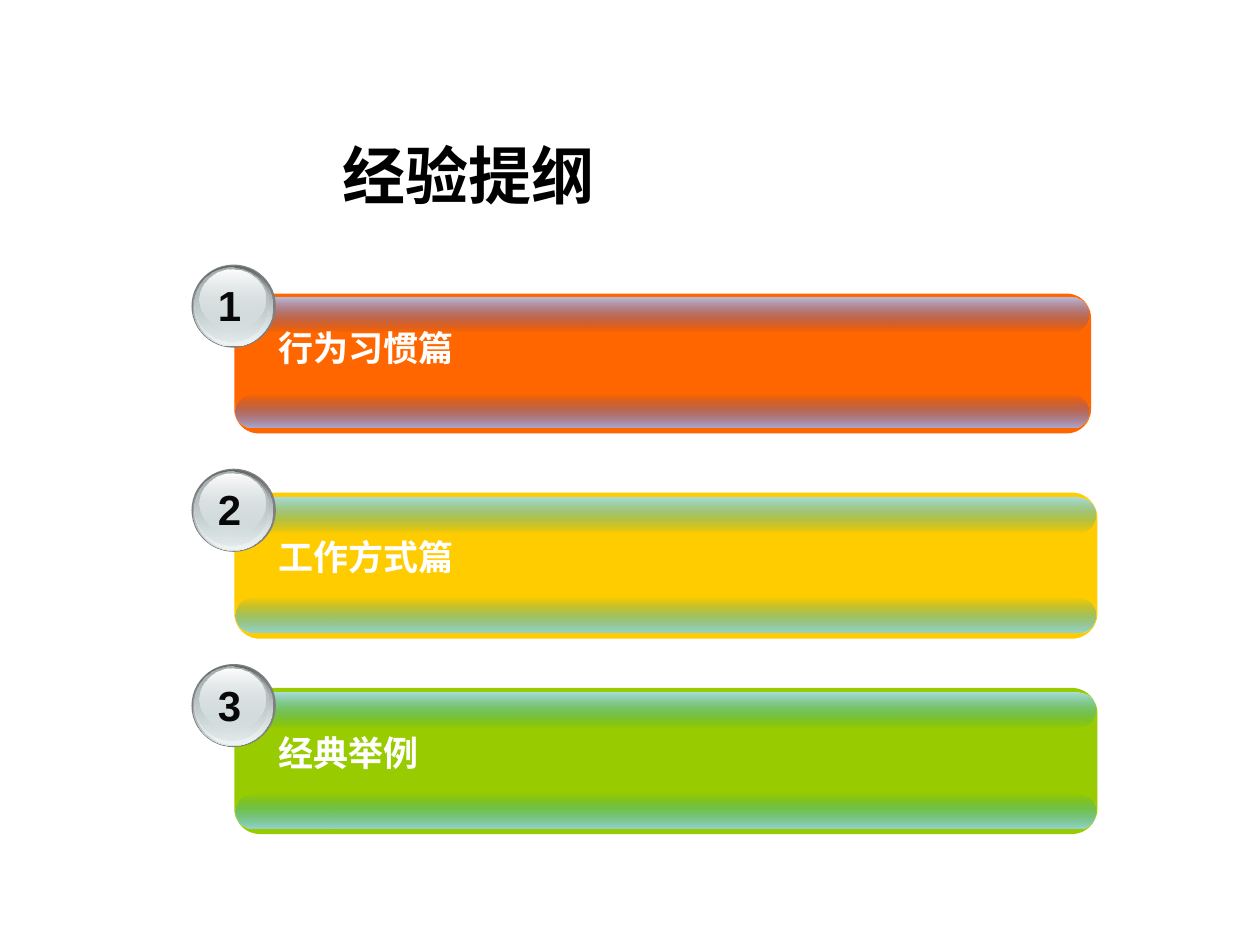
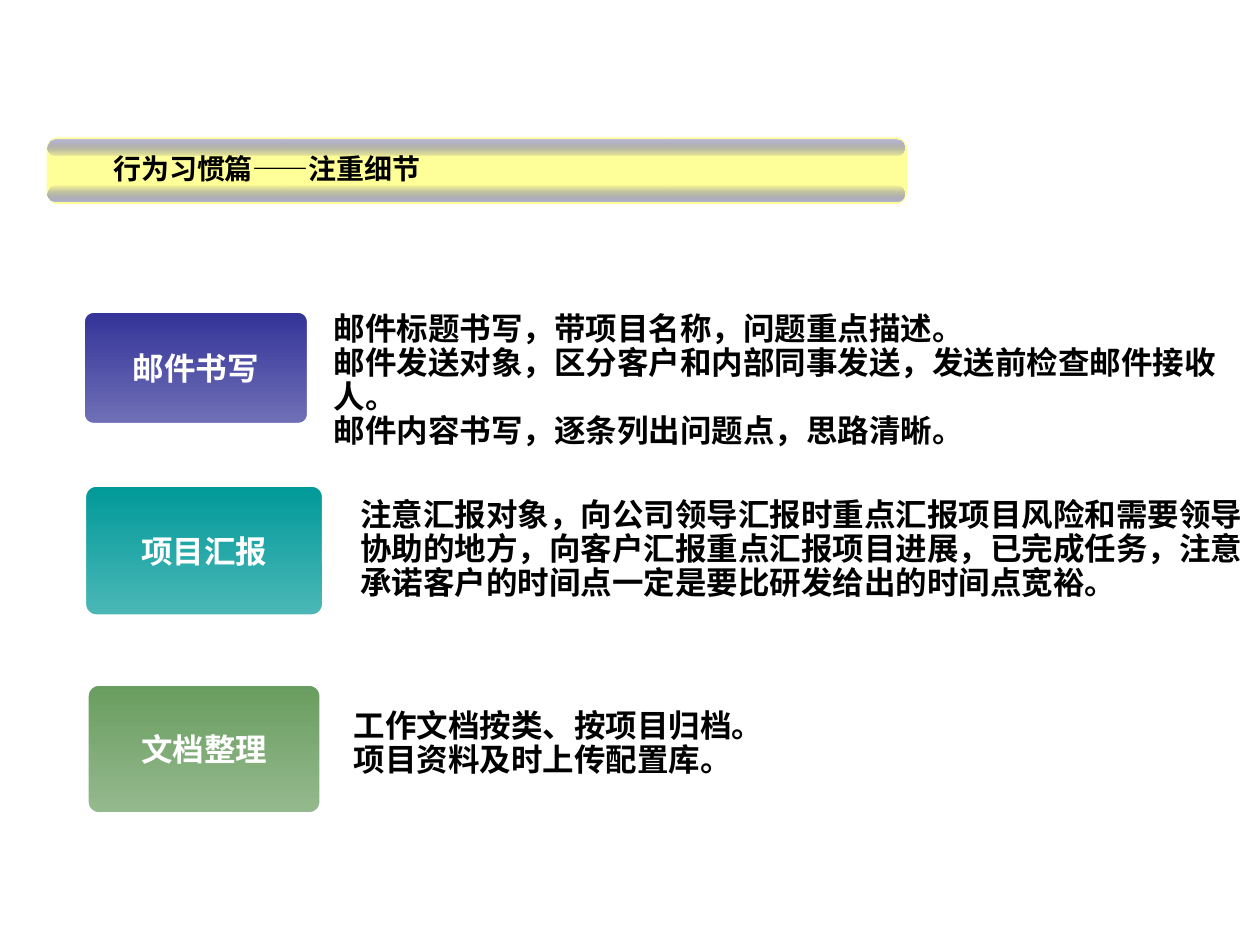
from pptx import Presentation
from pptx.dml.color import RGBColor
from pptx.enum.shapes import MSO_SHAPE
from pptx.enum.text import MSO_ANCHOR, MSO_AUTO_SIZE, PP_ALIGN
from pptx.oxml.ns import qn
from pptx.util import Inches, Pt
from lxml import etree

ROUND, OVAL = MSO_SHAPE.ROUNDED_RECTANGLE, MSO_SHAPE.OVAL
TOP, MIDDLE = MSO_ANCHOR.TOP, MSO_ANCHOR.MIDDLE
LEFT, CENTER = PP_ALIGN.LEFT, PP_ALIGN.CENTER
FIXED = MSO_AUTO_SIZE.NONE
FONT = "Arial"

COLORS = {
    "black": "000000", "ink": "080808", "white": "FFFFFF",
    "orange": "FF6600", "gold": "FFCC00", "lime": "99CC00", "cream": "FFFF99",
    "navy": "333399", "violet": "7070B7", "lilac": "BABADC", "mauve": "AAAAD4",
    "teal": "009999", "aqua": "4CB7B7", "mint": "A9DCDC", "sea": "95D4D4",
    "green": "699D5F", "sage": "95B98E",
    "rim": "808080", "steel": "626768", "ash": "A8B1B2",
    "mist": "D6E1E2", "pale": "EFF3F3", "snow": "FEFEFE",
}
# Gloss of a bar: top edge, middle, bottom edge
BLUE = ("lilac", "navy", "mauve")
CYAN = ("mint", "teal", "sea")

# Badge layers: offset and size in the badge, then (colour, opacity) stops
LAYERS = [
    ((0, 0, 0.67, 0.66), [("rim", 100)]),
    ((0.01, 0.01, 0.64, 0.64), [("steel", 100), ("mist", 100)]),
    ((0.02, 0.02, 0.62, 0.62), [("mist", 0), ("pale", 100)]),
    ((0.02, 0.02, 0.59, 0.59), [("ash", 100), ("mist", 48)]),
    ((0.06, 0.04, 0.53, 0.47), [("snow", 100), ("mist", 38)]),
]

# Number, badge top, bar box, bar colour, gloss, label top, label
ROWS = [
    ("1", 2.1, (1.86, 2.33, 6.8, 1.11), "orange", BLUE, 2.54, "行为习惯篇"),
    ("2", 3.72, (1.86, 3.91, 6.85, 1.16), "gold", CYAN, 4.2, "工作方式篇"),
    ("3", 5.27, (1.86, 5.46, 6.85, 1.16), "lime", CYAN, 5.76, "经典举例"),
]

# Card box, card colours, card name, text box, lines
TOPICS = [
    ((0.66, 2.47, 1.79, 0.9), ("navy", "violet"), "邮件书写",
     (2.55, 2.44, 7.24, 1.18),
     ["邮件标题书写，带项目名称，问题重点描述。",
      "邮件发送对象，区分客户和内部同事发送，发送前检查邮件接收人。",
      "邮件内容书写，逐条列出问题点，思路清晰。"]),
    ((0.67, 3.85, 1.9, 1.04), ("teal", "aqua"), "项目汇报",
     (2.76, 3.91, 7.24, 0.91),
     ["注意汇报对象，向公司领导汇报时重点汇报项目风险和需要领导协助的地方，"
      "向客户汇报重点汇报项目进展，已完成任务，"
      "注意承诺客户的时间点一定是要比研发给出的时间点宽裕。"]),
    ((0.69, 5.43, 1.86, 1.03), ("green", "sage"), "文档整理",
     (2.71, 5.59, 7.24, 0.64),
     ["工作文档按类、按项目归档。", "项目资料及时上传配置库。"]),
]


def rgb(name):
    return RGBColor.from_string(COLORS[name])


def paint(shape, stops):
    """Fill with one colour, or with a gradient running downwards."""
    fill = shape.fill
    if len(stops) == 1:
        fill.solid()
        fill.fore_color.rgb = rgb(stops[0][0])
        return
    fill.gradient()
    fill.gradient_angle = 270
    for stop, (name, _) in zip(fill.gradient_stops, stops):
        stop.color.rgb = rgb(name)
    marks = shape.element.spPr.iter(qn("a:srgbClr"))
    for mark, (_, alpha) in zip(list(marks), stops):
        if alpha < 100:
            etree.SubElement(mark, qn("a:alpha")).set("val", str(alpha * 1000))


def draw(slide, kind, box, stops, adj=None):
    shape = slide.shapes.add_shape(kind, *map(Inches, box))
    shape.shadow.inherit = False
    shape.line.fill.background()
    if adj is not None:
        shape.adjustments[0] = adj
    paint(shape, stops)
    return shape


def write(shape, lines, size, color, align=LEFT, anchor=TOP, wrap=True, space=1.0):
    frame = shape.text_frame
    frame.text = "\n".join(lines)
    frame.auto_size = FIXED
    frame.word_wrap = wrap
    frame.vertical_anchor = anchor
    for para in frame.paragraphs:
        para.alignment = align
        para.line_spacing = space
        font = para.font
        font.name, font.size, font.bold = FONT, Pt(size), True
        font.color.rgb = rgb(color)


def label(slide, box, lines, size, color, space=1.0):
    write(slide.shapes.add_textbox(*map(Inches, box)), lines, size, color, space=space)


def head(slide, box, text, size, space=1.0):
    """Place the title above whatever is drawn so far."""
    title = slide.shapes.title
    title.left, title.top, title.width, title.height = map(Inches, box)
    write(title, [text], size, "black", space=space)
    slide.shapes.element.append(title.element)


def bar(slide, box, color, gloss):
    """Rounded bar with a glossy strip along its lower and upper edge."""
    x, y, w, h = box
    light, mid, dark = gloss
    draw(slide, ROUND, box, [(color, 100)], 0.175)
    for part, stops in ((0.72, [(mid, 0), (dark, 100)]),
                        (0.03, [(light, 100), (mid, 0)])):
        strip = (x + 0.01, y + part * h, w - 0.03, 0.24 * h)
        draw(slide, ROUND, strip, stops, 0.5)


def badge(slide, x, y, number):
    for (dx, dy, w, h), stops in LAYERS:
        draw(slide, OVAL, (x + dx, y + dy, w, h), stops)
    label(slide, (x + 0.11, y + 0.07, 0.42, 0.5), [number], 24, "ink")


def card(slide, box, colors, name):
    shape = draw(slide, ROUND, box, [(c, 100) for c in colors], 0.091)
    shape.line.color.rgb = rgb("white")
    shape.line.width = Pt(2)
    write(shape, [name], 18, "white", CENTER, MIDDLE, wrap=False)


def outline(slide):
    for number, top, box, color, gloss, text_top, text in ROWS:
        bar(slide, box, color, gloss)
        badge(slide, 1.52, top, number)
        label(slide, (2.11, text_top, 6.17, 0.43), [text], 20, "white")
    head(slide, (2.62, 1.1, 4.4, 0.64), "经验提纲", 36, 0.9)


def habits(slide):
    bar(slide, (0.37, 1.09, 6.83, 0.53), "cream", BLUE)
    head(slide, (0.8, 1.15, 6.17, 0.37), "行为习惯篇——注重细节", 16)
    for box, colors, name, area, lines in TOPICS:
        card(slide, box, colors, name)
        label(slide, area, lines, 18, "black", 0.9)


def main():
    deck = Presentation()
    deck.slide_width, deck.slide_height = Inches(10), Inches(7.5)
    for build in (outline, habits):
        build(deck.slides.add_slide(deck.slide_layouts[5]))
    deck.save("out.pptx")


if __name__ == "__main__":
    main()
